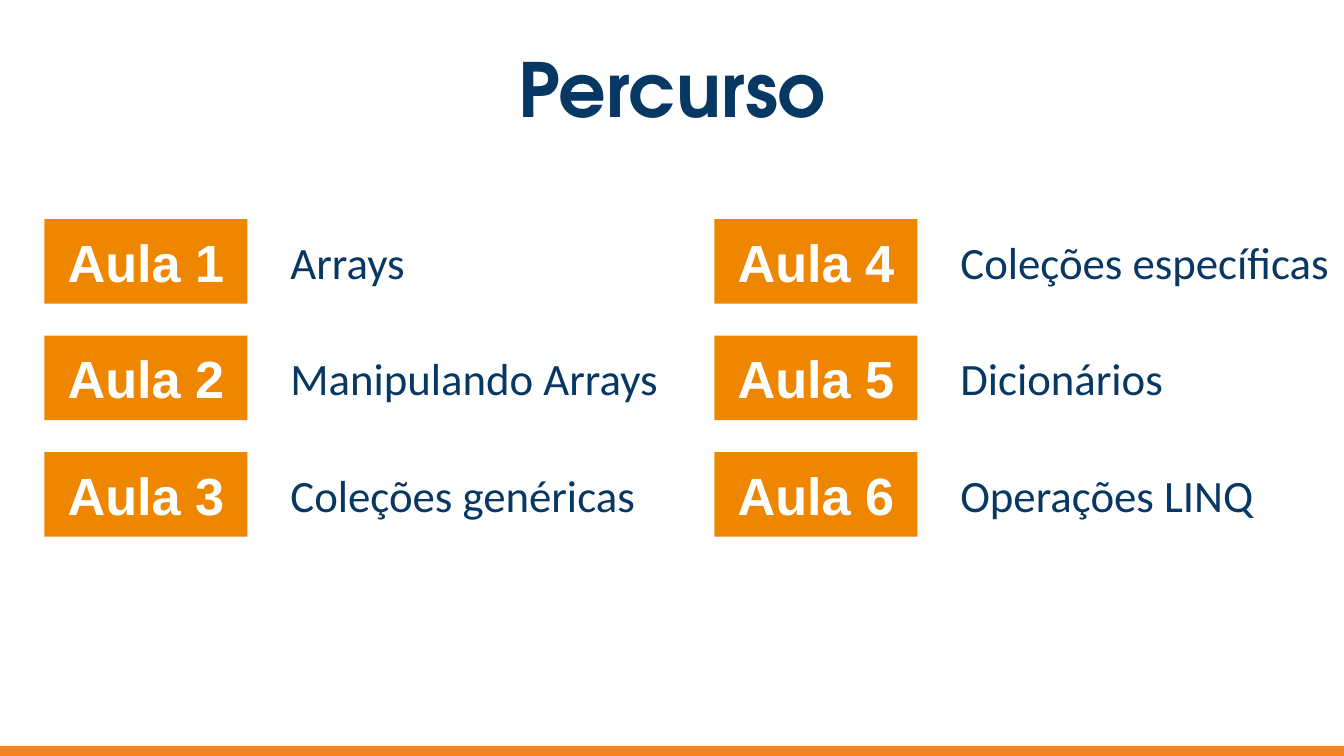
from pptx import Presentation
from pptx import util as u
from pptx.dml.color import RGBColor
from pptx.enum import shapes, text

"""Build the course outline slide: a title and two columns of lessons."""

TITLE = "Percurso"
COLUMNS = [
    [("Aula 1", "Arrays", 192), ("Aula 2", "Manipulando Arrays", 213), ("Aula 3", "Coleções genéricas", 213)],
    [("Aula 4", "Coleções específicas", 252.7), ("Aula 5", "Dicionários", 213), ("Aula 6", "Operações LINQ", 213)],
]
COLORS = {"navy": "073763", "label": "EF8600", "footer": "F78321", "white": "FFFFFF"}
FONTS = {
    "title": {"name": "TeX Gyre Adventor", "size": u.Pt(40), "bold": True},
    "label": {"name": "Arial", "size": u.Pt(28), "bold": True},
    "topic": {"name": "Calibri", "size": u.Pt(24), "bold": False},
}
LEFT, TOP = 23.8, 117.4
COLUMN_STEP, ROW_STEP = 358.9, 62.4
LABEL_WIDTH, LABEL_HEIGHT = 108.7, 45.3
TOPIC_OFFSET, TOPIC_HEIGHT = 124.7, 36


def paint(shape, color):
    shape.shadow.inherit = False
    shape.fill.solid()
    shape.fill.fore_color.rgb = RGBColor.from_string(COLORS[color])


def write(shape, words, font, color, align, anchor, inset):
    frame = shape.text_frame
    settings = {
        "word_wrap": True, "auto_size": text.MSO_AUTO_SIZE.NONE, "vertical_anchor": anchor,
        "margin_left": u.Pt(7.2), "margin_right": u.Pt(7.2),
        "margin_top": u.Pt(inset), "margin_bottom": u.Pt(inset),
    }
    for name, value in settings.items():
        setattr(frame, name, value)
    para = frame.paragraphs[0]
    para.alignment = align
    span = para.add_run()
    span.text = words
    for name, value in FONTS[font].items():
        setattr(span.font, name, value)
    span.font.color.rgb = RGBColor.from_string(COLORS[color])


def add_title(page):
    title = page.shapes.title
    place = {"left": 24.5, "top": 23.8, "width": 671, "height": 46.8}
    for name, value in place.items():
        setattr(title, name, u.Pt(value))
    write(title, TITLE, "title", "navy", text.PP_ALIGN.CENTER, text.MSO_ANCHOR.MIDDLE, 7.2)


def add_footer(page):
    bar = page.shapes.add_shape(shapes.MSO_SHAPE.RECTANGLE, u.Pt(0), u.Pt(399.9), u.Pt(720), u.Pt(4.5))
    paint(bar, "footer")
    bar.line.color.rgb = RGBColor.from_string(COLORS["footer"])
    bar.line.width = u.Pt(0.75)


def add_lesson(page, left, top, lesson):
    label, topic, topic_width = lesson
    box = page.shapes.add_shape(
        shapes.MSO_SHAPE.RECTANGLE, u.Pt(left), u.Pt(top), u.Pt(LABEL_WIDTH), u.Pt(LABEL_HEIGHT))
    paint(box, "label")
    box.line.fill.background()
    write(box, label, "label", "white", text.PP_ALIGN.CENTER, text.MSO_ANCHOR.MIDDLE, 7.2)
    topic_top = top + (LABEL_HEIGHT - TOPIC_HEIGHT) / 2
    box = page.shapes.add_textbox(
        u.Pt(left + TOPIC_OFFSET), u.Pt(topic_top), u.Pt(topic_width), u.Pt(TOPIC_HEIGHT))
    write(box, topic, "topic", "navy", text.PP_ALIGN.LEFT, text.MSO_ANCHOR.TOP, 3.6)


def main():
    deck = Presentation()
    deck.slide_width, deck.slide_height = u.Pt(720), u.Pt(405)
    page = deck.slides.add_slide(deck.slide_layouts.get_by_name("Title Only"))
    add_title(page)
    add_footer(page)
    for column, lessons in enumerate(COLUMNS):
        for row, lesson in enumerate(lessons):
            add_lesson(page, LEFT + column * COLUMN_STEP, TOP + row * ROW_STEP, lesson)
    deck.save("out.pptx")


if __name__ == "__main__":
    main()
